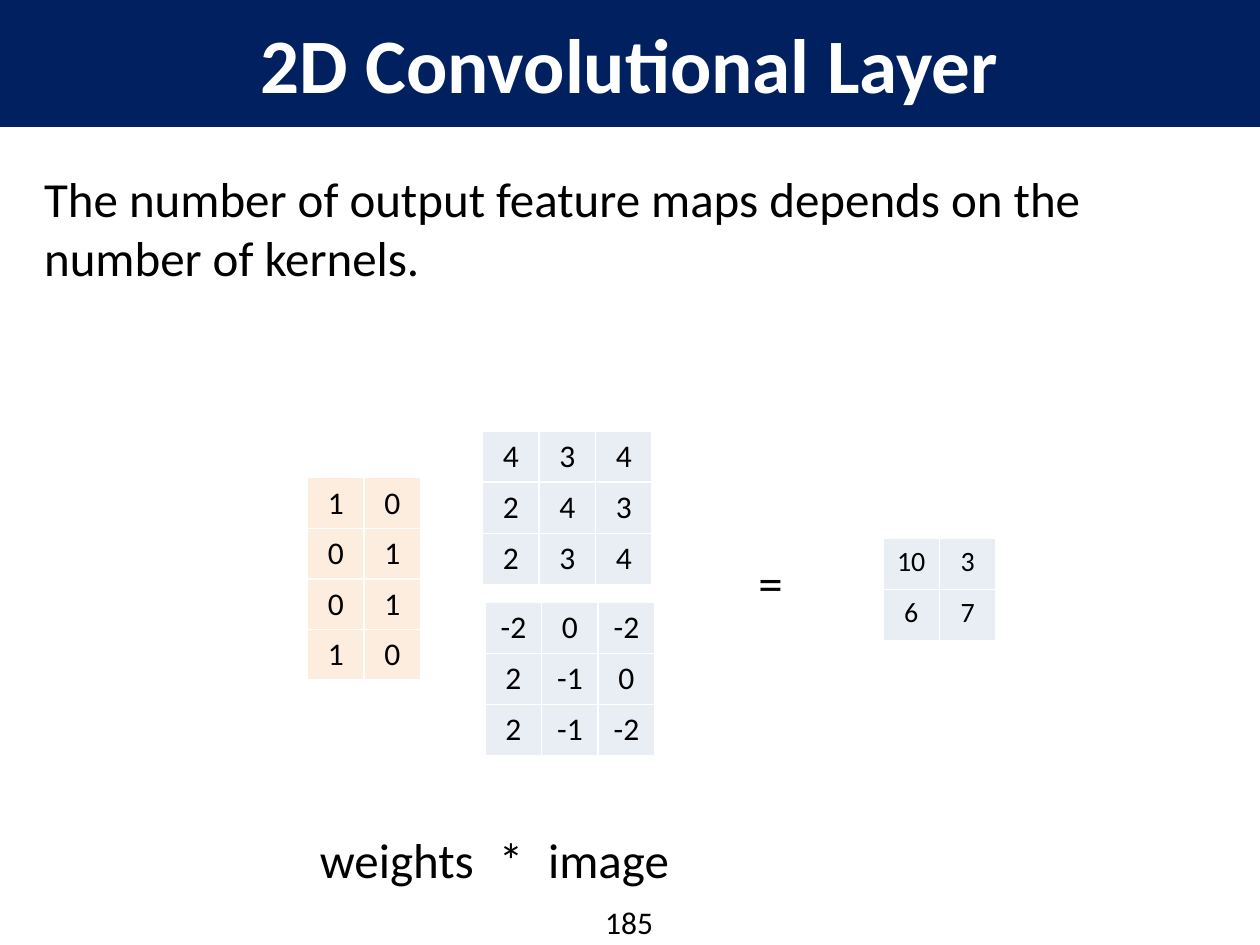
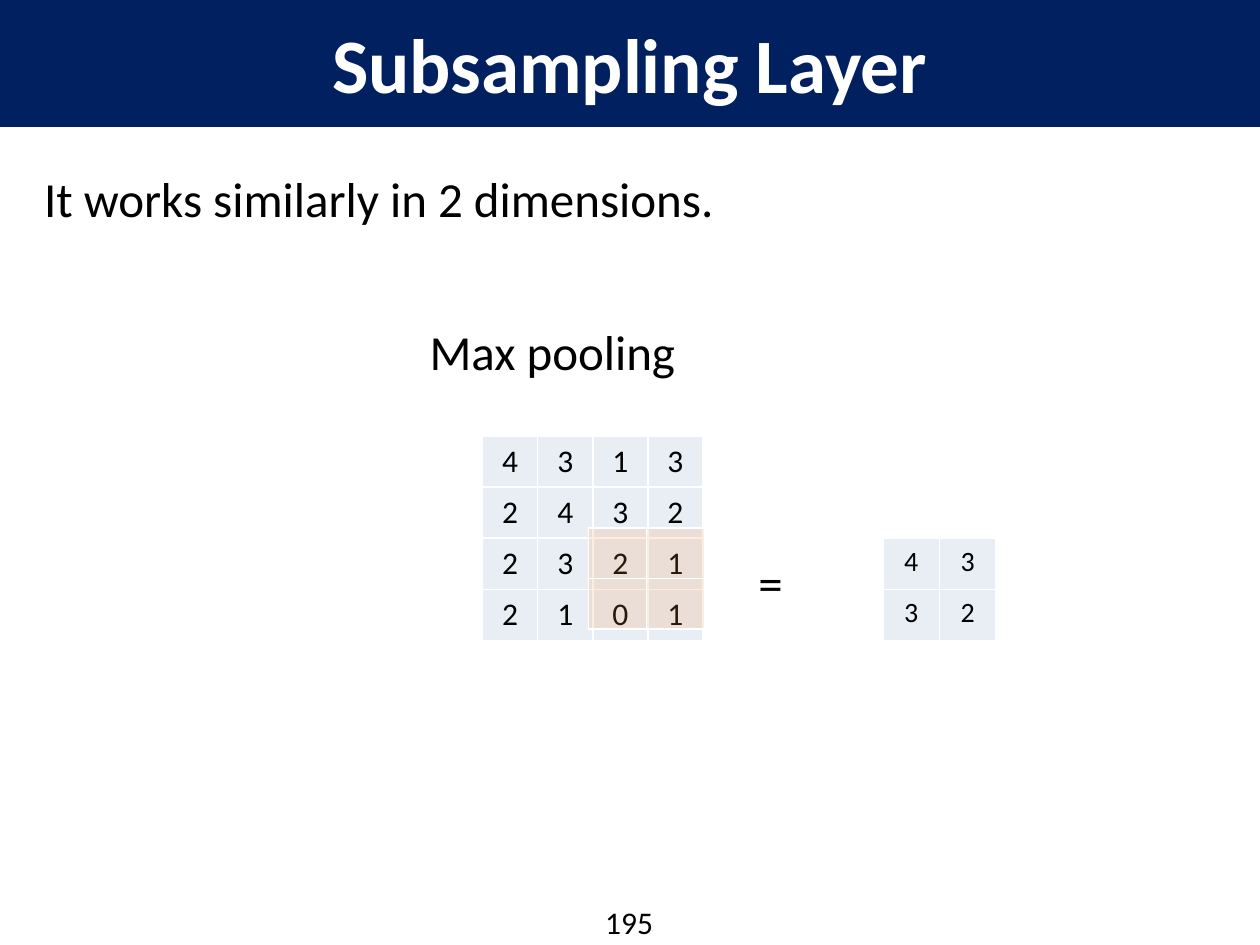
from dataclasses import dataclass

from lxml import etree
from pptx import Presentation
from pptx.dml.color import RGBColor
from pptx.enum.text import MSO_ANCHOR, MSO_AUTO_SIZE, PP_ALIGN
from pptx.oxml.ns import qn
from pptx.util import Cm, Pt

LEFT, CENTER = PP_ALIGN.LEFT, PP_ALIGN.CENTER
MIDDLE = MSO_ANCHOR.MIDDLE
FIT_SHAPE, NO_FIT = MSO_AUTO_SIZE.SHAPE_TO_FIT_TEXT, MSO_AUTO_SIZE.NONE
TITLE_ONLY = 5


@dataclass(frozen=True)
class Theme:
    font: str = "Calibri"
    band: str = "002060"
    text: str = "000000"
    white: str = "FFFFFF"
    image_fill: str = "E9EDF4"
    kernel_fill: str = "F79646"
    kernel_alpha: int = 17
    title_size: int = 44
    body_size: int = 28
    cell_size: int = 18
    result_size: int = 16
    page_size: int = 18
    border: int = 1


THEME = Theme()

# Geometry in cm
SLIDE_W, SLIDE_H = 25.4, 19.05
BAND_H = 2.54
LINE_H = 1.45
CELL_W, ROW_H = 1.14, 1.03
KERNEL_X, KERNEL_Y = 6.2, 9.63
KERNEL_ROW_H = 1.02
IMAGE_X = 9.73
RESULT_X, RESULT_Y = 17.8, 10.85
CAPTION_Y = 16.59
TAB_POS = 3.61

# Content: texts are (text, x, y, width), grids are dicts
EQUALS = ("=", 15.04, 11.02, 3.81)

SLIDES = [
    {
        "title": "2D Convolutional Layer",
        "page": "185",
        "lead": "The number of output feature maps depends on the number of kernels.",
        "texts": [("weights\t*", KERNEL_X, CAPTION_Y, 4.72),
                  ("image", 10.8, CAPTION_Y, 3.81),
                  EQUALS],
        "images": [
            {"rows": ["-2 0 -2", "2 -1 0", "2 -1 -2"], "x": 9.78, "y": 12.14},
            {"rows": ["4 3 4", "2 4 3", "2 3 4"], "x": IMAGE_X, "y": 8.69},
        ],
        "kernels": [
            {"rows": rows, "x": KERNEL_X, "y": KERNEL_Y + i * 2 * KERNEL_ROW_H}
            for i, rows in enumerate((["1 0", "0 1"], ["0 1", "1 0"]))
        ],
        "result": ["10 3", "6 7"],
    },
    {
        "title": "Subsampling Layer",
        "page": "195",
        "lead": "It works similarly in 2 dimensions.",
        "texts": [("Max pooling", 8.41, 6.35, 6.6), EQUALS],
        "images": [
            {"rows": ["4 3 1 3", "2 4 3 2", "2 3 2 1", "2 1 0 1"],
             "x": IMAGE_X, "y": 8.79, "cell_w": 1.11},
        ],
        # Empty pooling window laid over the image
        "kernels": [{"rows": [",", ","], "x": 11.86, "y": 10.64, "cell_w": 1.17}],
        "result": ["4 3", "3 2"],
    },
]


def format_paragraph(p, size, color=THEME.text, align=LEFT, bold=False):
    p.alignment = align
    p.font.name = THEME.font
    p.font.size = Pt(size)
    p.font.bold = bold
    p.font.color.rgb = RGBColor.from_string(color)


def add_title(slide, text):
    sp = slide.shapes.title
    sp.left, sp.top, sp.width, sp.height = 0, 0, Cm(SLIDE_W), Cm(BAND_H)
    sp.fill.solid()
    sp.fill.fore_color.rgb = RGBColor.from_string(THEME.band)
    sp.line.color.rgb = RGBColor.from_string(THEME.band)
    sp.line.width = Pt(0.75)
    tf = sp.text_frame
    tf.text = text
    tf.auto_size = NO_FIT
    tf.vertical_anchor = MIDDLE
    format_paragraph(tf.paragraphs[0], THEME.title_size, THEME.white, CENTER, True)


def add_text(slide, text, x, y, w, h=LINE_H, size=THEME.body_size, align=LEFT):
    sp = slide.shapes.add_textbox(Cm(x), Cm(y), Cm(w), Cm(h))
    tf = sp.text_frame
    tf.word_wrap = True
    tf.auto_size = FIT_SHAPE
    p = tf.paragraphs[0]
    p.text = text
    if "\t" in text:
        tabs = etree.SubElement(p._p.get_or_add_pPr(), qn("a:tabLst"))
        etree.SubElement(tabs, qn("a:tab"), pos=str(Cm(TAB_POS)), algn="l")
    format_paragraph(p, size, align=align)


def style_cell(cell, fill, alpha):
    tc_pr = cell._tc.get_or_add_tcPr()
    for side in ("lnL", "lnR", "lnT", "lnB"):
        ln = etree.SubElement(tc_pr, qn(f"a:{side}"), w=str(Pt(THEME.border)))
        solid = etree.SubElement(ln, qn("a:solidFill"))
        etree.SubElement(solid, qn("a:srgbClr"), val=THEME.white)
    cell.fill.solid()
    cell.fill.fore_color.rgb = RGBColor.from_string(fill)
    if alpha < 100:
        color = tc_pr.find(qn("a:solidFill")).find(qn("a:srgbClr"))
        etree.SubElement(color, qn("a:alpha"), val=str(alpha * 1000))


def add_grid(slide, rows, x, y, cell_w=CELL_W, row_h=ROW_H,
             fill=THEME.image_fill, alpha=100, size=THEME.cell_size):
    values = [row.split(",") if "," in row else row.split() for row in rows]
    n_rows, n_cols = len(values), len(values[0])
    table = slide.shapes.add_table(n_rows, n_cols, Cm(x), Cm(y),
                                   Cm(n_cols * cell_w), Cm(n_rows * row_h)).table
    table.first_row = table.horz_banding = False
    for col in table.columns:
        col.width = Cm(cell_w)
    for i, row in enumerate(values):
        table.rows[i].height = Cm(row_h)
        for j, value in enumerate(row):
            cell = table.cell(i, j)
            style_cell(cell, fill, alpha)
            if value:
                cell.text = value
                format_paragraph(cell.text_frame.paragraphs[0], size, align=CENTER)


def build_slide(prs, content):
    slide = prs.slides.add_slide(prs.slide_layouts[TITLE_ONLY])
    # Shared frame
    add_title(slide, content["title"])
    add_text(slide, content["page"], 11.63, 18.08, 2.11, 1.02,
             THEME.page_size, CENTER)
    # Explanations
    add_text(slide, content["lead"], 0.64, 3.28, 24.13)
    for text in content["texts"]:
        add_text(slide, *text)
    # Matrices
    for image in content["images"]:
        add_grid(slide, **image)
    for kernel in content["kernels"]:
        add_grid(slide, **kernel, row_h=KERNEL_ROW_H,
                 fill=THEME.kernel_fill, alpha=THEME.kernel_alpha)
    add_grid(slide, content["result"], RESULT_X, RESULT_Y, size=THEME.result_size)


def main():
    prs = Presentation()
    prs.slide_width, prs.slide_height = Cm(SLIDE_W), Cm(SLIDE_H)
    for content in SLIDES:
        build_slide(prs, content)
    prs.save("out.pptx")


if __name__ == "__main__":
    main()
